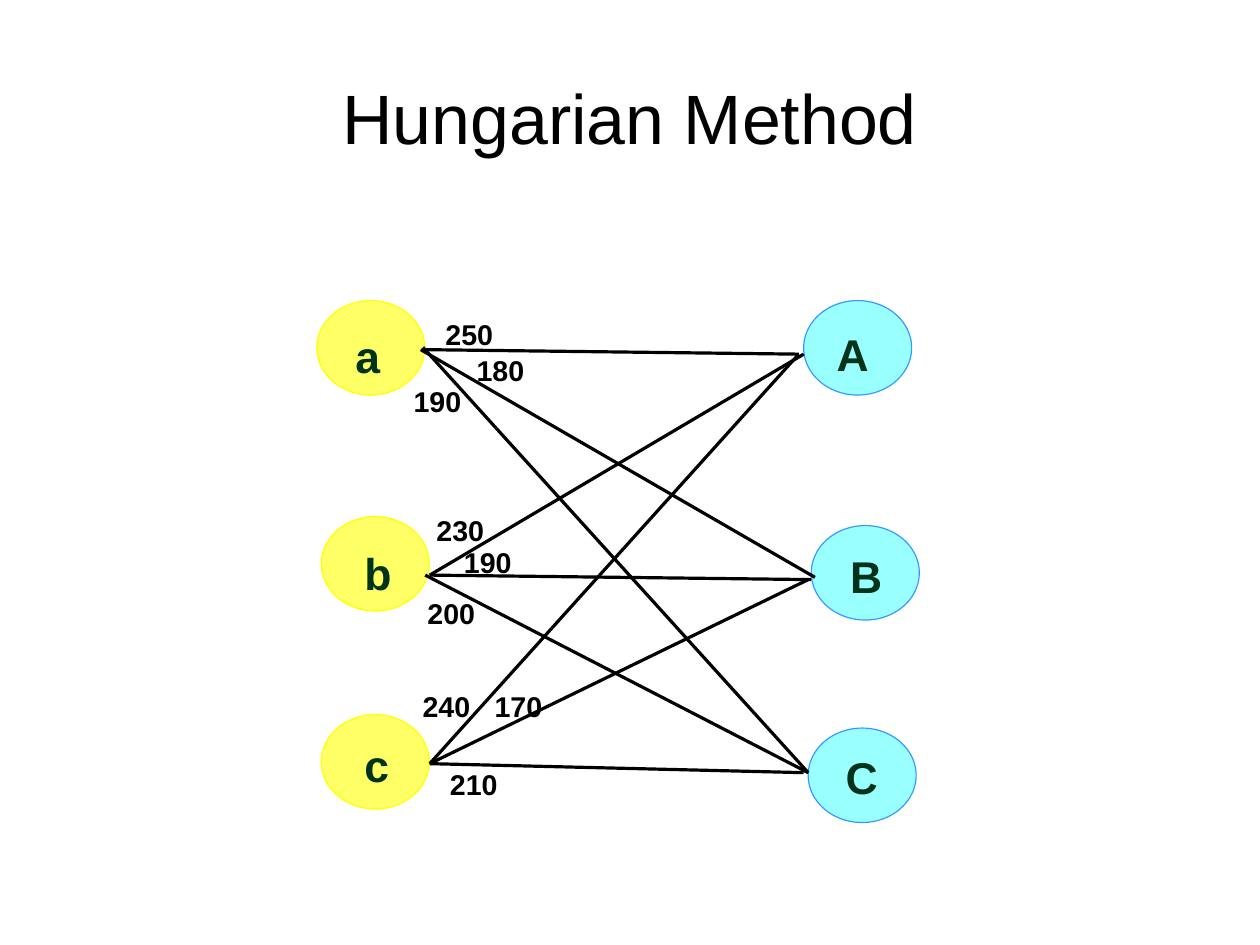
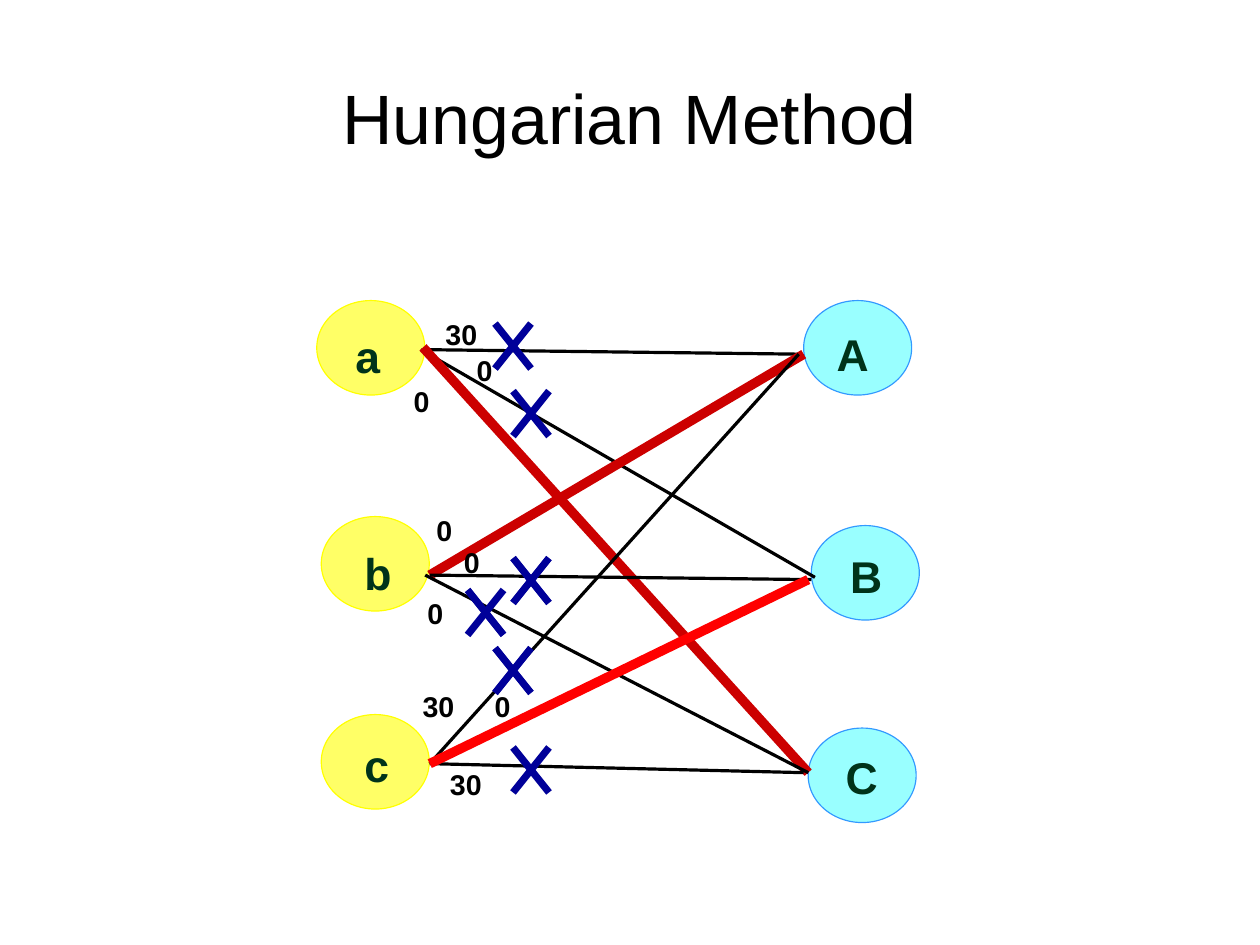
from lxml import etree
from pptx import Presentation
from pptx.dml.color import RGBColor
from pptx.enum import shapes, text
from pptx.oxml import ns
from pptx.util import Cm, Pt

# Shared style
FONT = "Arial"
BLACK = RGBColor(0x00, 0x00, 0x00)
DARK_GREEN = RGBColor(0x00, 0x33, 0x1A)
YELLOW = RGBColor(0xFF, 0xFF, 0x66)
YELLOW_EDGE = RGBColor(0xFF, 0xFF, 0x00)
CYAN = RGBColor(0x99, 0xFF, 0xFF)
BLUE_EDGE = RGBColor(0x33, 0x99, 0xFF)
DARK_RED = RGBColor(0xCC, 0x00, 0x00)
RED = RGBColor(0xFF, 0x00, 0x00)
NAVY = RGBColor(0x00, 0x00, 0x99)

TITLE_FONT = {"name": FONT, "size": Pt(44), "bold": False}
NODE_FONT = {"name": FONT, "size": Pt(28), "bold": True}
COST_FONT = {"name": FONT, "size": Pt(18), "bold": True}
TITLE_FRAME = {
    "margin_left": 0, "margin_right": 0, "margin_top": 0, "margin_bottom": 0,
    "vertical_anchor": text.MSO_ANCHOR.MIDDLE,
    "auto_size": text.MSO_AUTO_SIZE.NONE,
}
TITLE_PLACE = {"left": Cm(1.4), "top": Cm(0.84), "width": Cm(25.2), "height": Cm(3.5)}

# Content, with lengths in centimetres
TITLE = "Hungarian Method"
NODE_SIZE = (2.4, 2.1)
NODE_LABEL_SIZE = (1.2, 1.35)
COST_SIZE = (1.7, 0.97)
CROSS_SIZE = (0.8, 1.0)
HAIRLINE, BOLD_LINE, CROSS_LINE = 0, 6, 4.5

# name: (circle corner, label corner)
NODES = {
    "a": ((7.04, 6.68), (7.65, 7.19)),
    "b": ((7.14, 11.48), (7.85, 12.01)),
    "c": ((7.14, 15.88), (7.85, 16.28)),
    "A": ((17.86, 6.68), (18.34, 7.14)),
    "B": ((18.03, 11.68), (18.64, 12.07)),
    "C": ((17.96, 16.18), (18.54, 16.54)),
}
# name: (start, end, cost corner)
EDGES = {
    "aA": ((9.45, 7.77), (17.75, 7.87), (9.65, 6.91)),
    "aB": ((9.35, 7.77), (18.11, 12.83), (10.34, 7.72)),
    "aC": ((9.4, 7.72), (17.96, 17.17), (8.94, 8.41)),
    "bA": ((9.55, 12.78), (17.86, 7.87), (9.45, 11.28)),
    "bB": ((9.55, 12.78), (18.03, 12.88), (10.06, 11.99)),
    "bC": ((9.45, 12.78), (17.96, 17.17), (9.25, 13.11)),
    "cC": ((9.55, 16.97), (17.86, 17.17), (9.75, 16.92)),
    "cA": ((17.75, 7.87), (9.55, 16.97), (9.14, 15.19)),
    "cB": ((17.96, 12.88), (9.55, 16.97), (10.74, 15.19)),
}
# Costs follow the order of EDGES
STEPS = [
    {"costs": (250, 180, 190, 230, 190, 200, 210, 240, 170),
     "matching": {}, "crosses": ()},
    {"costs": (30, 0, 0, 0, 0, 0, 30, 30, 0),
     "matching": {"aC": DARK_RED, "bA": DARK_RED, "cB": RED},
     "crosses": ((11.4, 8.69), (11.4, 12.4), (11, 14.4),
                 (11.4, 16.61), (11, 7.19), (10.39, 13.11))},
]


def apply(target, values):
    for name, value in values.items():
        setattr(target, name, value)


def write(frame, words, font, color, align):
    para = frame.paragraphs[0]
    para.alignment = align
    span = para.add_run()
    span.text = str(words)
    apply(span.font, font)
    span.font.color.rgb = color


def add_label(page, words, corner, size, font, color):
    box = page.shapes.add_textbox(*map(Cm, corner + size))
    box.text_frame.word_wrap = True
    write(box.text_frame, words, font, color, text.PP_ALIGN.LEFT)


def add_circle(page, corner, fill, edge):
    circle = page.shapes.add_shape(shapes.MSO_SHAPE.OVAL, *map(Cm, corner + NODE_SIZE))
    circle.shadow.inherit = False
    circle.fill.solid()
    circle.fill.fore_color.rgb = fill
    circle.line.color.rgb = edge
    circle.line.width = Pt(HAIRLINE)


def add_line(page, start, end, color, width):
    line = page.shapes.add_connector(shapes.MSO_CONNECTOR.STRAIGHT, *map(Cm, start + end))
    line.line.color.rgb = color
    line.line.width = Pt(width)
    etree.SubElement(line._element.spPr, ns.qn("a:effectLst"))


def add_cross(page, corner):
    left, top = corner
    right, bottom = left + CROSS_SIZE[0], top + CROSS_SIZE[1]
    add_line(page, (left, top), (right, bottom), NAVY, CROSS_LINE)
    add_line(page, (right, top), (left, bottom), NAVY, CROSS_LINE)


def add_step(deck, layout, step):
    page = deck.slides.add_slide(layout)
    write(page.shapes.title.text_frame, TITLE, TITLE_FONT, BLACK, text.PP_ALIGN.CENTER)

    # Graph
    for name, (corner, _) in NODES.items():
        colors = (YELLOW, YELLOW_EDGE) if name.islower() else (CYAN, BLUE_EDGE)
        add_circle(page, corner, *colors)
    for name, (start, end, _) in EDGES.items():
        chosen = step["matching"].get(name)
        add_line(page, start, end, chosen or BLACK, BOLD_LINE if chosen else HAIRLINE)

    # Node names and edge costs
    for name, (_, corner) in NODES.items():
        add_label(page, name, corner, NODE_LABEL_SIZE, NODE_FONT, DARK_GREEN)
    for cost, (_, _, corner) in zip(step["costs"], EDGES.values()):
        add_label(page, cost, corner, COST_SIZE, COST_FONT, BLACK)

    # Rejected edges
    for corner in step["crosses"]:
        add_cross(page, corner)


def main():
    deck = Presentation()
    deck.slide_width, deck.slide_height = Cm(28), Cm(21)
    layout = deck.slide_layouts.get_by_name("Title Only")
    title = layout.placeholders[0]
    apply(title, TITLE_PLACE)
    apply(title.text_frame, TITLE_FRAME)
    for step in STEPS:
        add_step(deck, layout, step)
    deck.save("out.pptx")


if __name__ == "__main__":
    main()
